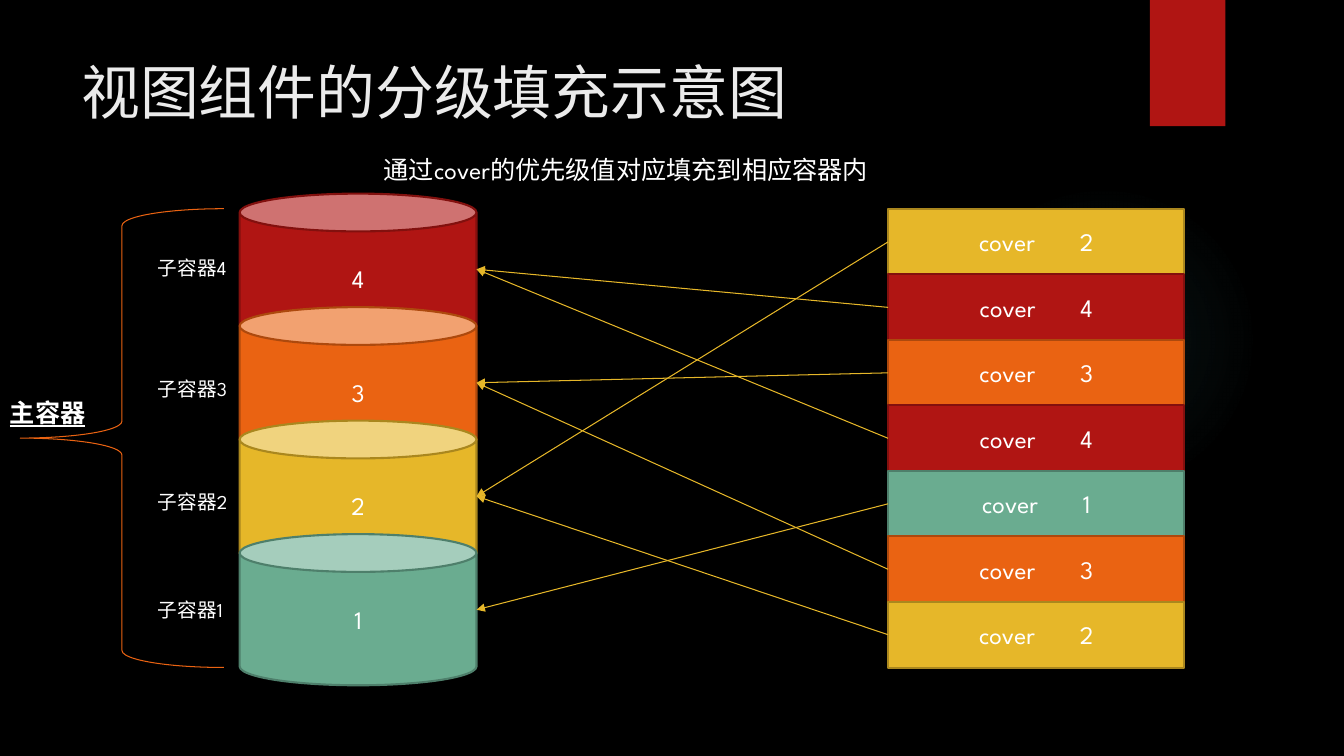
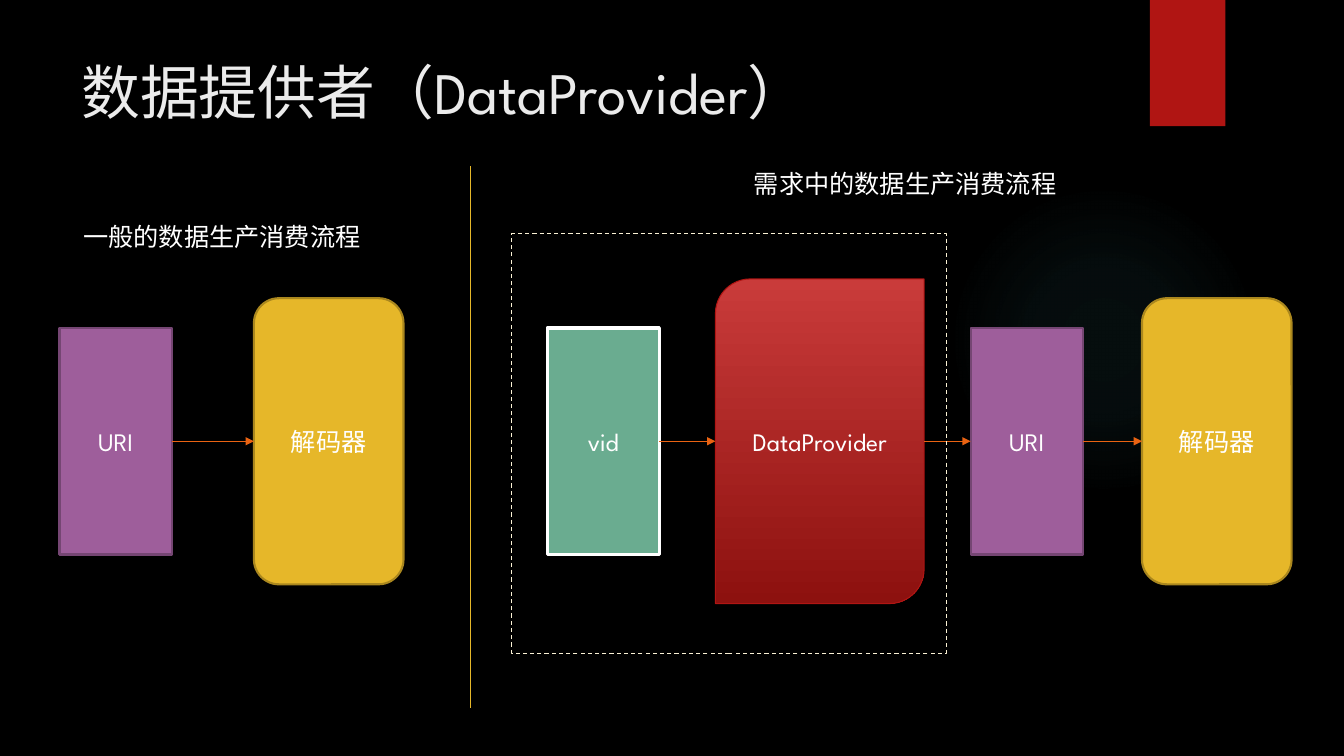
from lxml.etree import SubElement
from pptx import Presentation
from pptx.dml.color import RGBColor
from pptx.enum.dml import MSO_LINE_DASH_STYLE as Dash
from pptx.enum.shapes import MSO_CONNECTOR as Connector, MSO_SHAPE as Shape
from pptx.enum.text import MSO_ANCHOR as Anchor, PP_ALIGN as Align
from pptx.oxml import parse_xml
from pptx.oxml.ns import nsdecls, qn
from pptx.util import Cm, Pt

FONT = "League Spartan"
WHITE, BLACK, TITLE, PALE = "FFFFFF", "000000", "EBEBEB", "FAF1D4"
RED, ORANGE, YELLOW, GREEN, PURPLE = "B01513", "EA6312", "E6B729", "6AAC90", "9E5E9B"
EDGES = {RED: "82100E", ORANGE: "AD490D", YELLOW: "AA871E", GREEN: "4E7F6B", PURPLE: "754673"}
LEVELS = {4: RED, 3: ORANGE, 2: YELLOW, 1: GREEN}
COVERS = (2, 4, 3, 4, 1, 3, 2)
STEPS = {
    "URI": (Shape.RECTANGLE, PURPLE, 2.83, 5.71),
    "解码器": (Shape.ROUNDED_RECTANGLE, YELLOW, 3.77, 7.21),
    "vid": (Shape.RECTANGLE, GREEN, 2.83, 5.71),
    "DataProvider": (Shape.ROUND_2_DIAG_RECTANGLE, RED, 5.26, 8.18),
}


def rgb(value):
    return RGBColor.from_string(value)


def write(frame, text, size=18, color=WHITE, align=Align.LEFT, anchor=Anchor.TOP):
    frame.word_wrap = True
    frame.vertical_anchor = anchor
    paragraph = frame.paragraphs[0]
    paragraph.text = text
    paragraph.alignment = align
    font = paragraph.runs[0].font
    font.name, font.size, font.color.rgb = FONT, Pt(size), rgb(color)
    return font


def add_text(slide, text, left, top, width, height=1.02, size=18, color=WHITE):
    box = slide.shapes.add_textbox(Cm(left), Cm(top), Cm(width), Cm(height))
    return write(box.text_frame, text, size, color)


def add_block(slide, kind, left, top, width, height, fill=None, edge=None, weight=1.5, text=""):
    block = slide.shapes.add_shape(kind, Cm(left), Cm(top), Cm(width), Cm(height))
    block.shadow.inherit = False
    if fill:
        block.fill.solid()
        block.fill.fore_color.rgb = rgb(fill)
    else:
        block.fill.background()
    if edge:
        block.line.color.rgb = rgb(edge)
        block.line.width = Pt(weight)
    else:
        block.line.fill.background()
    if text:
        write(block.text_frame, text, align=Align.CENTER, anchor=Anchor.MIDDLE)
    return block


def add_line(slide, x1, y1, x2, y2, color, arrow=True):
    line = slide.shapes.add_connector(Connector.STRAIGHT, Cm(x1), Cm(y1), Cm(x2), Cm(y2))
    line.line.color.rgb = rgb(color)
    line.line.width = Pt(0.75)
    if arrow:
        SubElement(line.line._get_or_add_ln(), qn("a:tailEnd"), type="triangle")
    SubElement(line._element.spPr, qn("a:effectLst"))


def set_gradient(shape, stops, direction):
    marks = "".join(
        f'<a:gs pos="{pos * 1000}"><a:srgbClr val="{color}"><a:alpha val="{alpha * 1000}"/></a:srgbClr></a:gs>'
        for pos, color, alpha in stops
    )
    gradient = parse_xml(f'<a:gradFill {nsdecls("a")}><a:gsLst>{marks}</a:gsLst>{direction}</a:gradFill>')
    properties = shape._element.spPr
    properties.replace(properties.find(qn("a:solidFill")), gradient)


def set_shadow(shape):
    effects = shape._element.spPr.find(qn("a:effectLst"))
    effects.append(parse_xml(
        f'<a:outerShdw {nsdecls("a")} blurRad="{Pt(3)}" dist="{Pt(2)}" dir="5400000" rotWithShape="0">'
        f'<a:srgbClr val="{BLACK}"><a:alpha val="45000"/></a:srgbClr></a:outerShdw>'
    ))


def start_slide(deck, title):
    slide = deck.slides.add_slide(deck.slide_layouts[6])
    slide.background.fill.solid()
    slide.background.fill.fore_color.rgb = rgb(BLACK)
    teal = "50B9C1"
    glow = add_block(slide, Shape.OVAL, 23.9, 4.65, 7.82, 7.82, teal)
    set_gradient(
        glow, [(0, teal, 7), (36, teal, 6), (69, teal, 0)],
        '<a:path path="circle"><a:fillToRect l="50000" t="50000" r="50000" b="50000"/></a:path>',
    )
    set_shadow(add_block(slide, Shape.RECTANGLE, 28.98, 0, 1.9, 3.18, RED))
    add_text(slide, title, 1.8, 1.27, 26.14, 2.36, 42, TITLE)
    return slide


def add_containers(slide, left, top, width, pitch):
    height = 3.81
    label_offsets = (1.44, 1.63, 1.61, 1.48)
    entries = {}
    for row, ((level, color), offset) in enumerate(zip(LEVELS.items(), label_offsets)):
        y = top + row * pitch
        add_block(slide, Shape.CAN, left, y, width, height, color, EDGES[color], text=str(level))
        add_text(slide, f"子容器{level}", left - 2.31, y + offset, 2.29, 0.86, 14)
        entries[level] = (left + width, y + height / 2)
    return entries


def add_covers(slide, left, top, width, pitch, entries):
    height = pitch + 0.02
    for row, level in enumerate(COVERS):
        color = LEVELS[level]
        y = top + row * pitch
        add_block(slide, Shape.RECTANGLE, left, y, width, height, color, EDGES[color], text=f"cover\t{level}")
        add_line(slide, left, y + height / 2, *entries[level], YELLOW)


def add_main_container(slide, left, top, width, height):
    add_block(slide, Shape.LEFT_BRACE, left, top, width, height, edge=ORANGE, weight=0.75)
    font = add_text(slide, "主容器", left - 0.51, top + 4.62, 2.69)
    font.bold = font.underline = True


def add_flow(slide, left, axis, steps):
    exit_x = None
    for name, offset in steps:
        kind, color, width, height = STEPS[name]
        x = left + offset
        block = add_block(slide, kind, x, axis - height / 2, width, height, color, EDGES[color], text=name)
        if name == "vid":
            block.line.color.rgb = rgb(WHITE)
            block.line.width = Pt(2.25)
        elif name == "DataProvider":
            set_gradient(block, [(0, "C93B3A", 100), (100, "8D110F", 100)], '<a:lin ang="5400000" scaled="0"/>')
            block.line.color.rgb = rgb(RED)
            block.line.width = Pt(0.75)
            set_shadow(block)
        if exit_x is not None:
            add_line(slide, exit_x, axis, x, axis, ORANGE)
        exit_x = x + width


def build_filling(deck):
    slide = start_slide(deck, "视图组件的分级填充示意图")
    entries = add_containers(slide, 6.04, 4.88, 5.97, 2.86)
    add_covers(slide, 22.38, 5.26, 7.47, 1.65, entries)
    add_text(slide, "通过cover的优先级值对应填充到相应容器内", 9.42, 3.76, 13.51)
    add_main_container(slide, 0.51, 5.26, 5.13, 11.56)


def build_provider(deck):
    slide = start_slide(deck, "数据提供者（DataProvider）")
    axis = 11.12
    add_flow(slide, 1.5, axis, [("URI", 0), ("解码器", 4.9)])
    add_flow(slide, 13.79, axis, [("vid", 0), ("DataProvider", 4.24), ("URI", 10.67), ("解码器", 14.99)])
    add_line(slide, 11.86, 4.19, 11.86, 17.83, YELLOW, arrow=False)
    scope = add_block(slide, Shape.RECTANGLE, 12.9, 5.89, 10.95, 10.57, edge=PALE, weight=0.75)
    scope.line.dash_style = Dash.DASH
    add_text(slide, "一般的数据生产消费流程", 1.85, 5.46, 7.57)
    add_text(slide, "需求中的数据生产消费流程", 18.75, 4.11, 8.2)


def main():
    deck = Presentation()
    deck.slide_width, deck.slide_height = Cm(33.87), Cm(19.05)
    build_filling(deck)
    build_provider(deck)
    deck.save("out.pptx")


if __name__ == "__main__":
    main()
